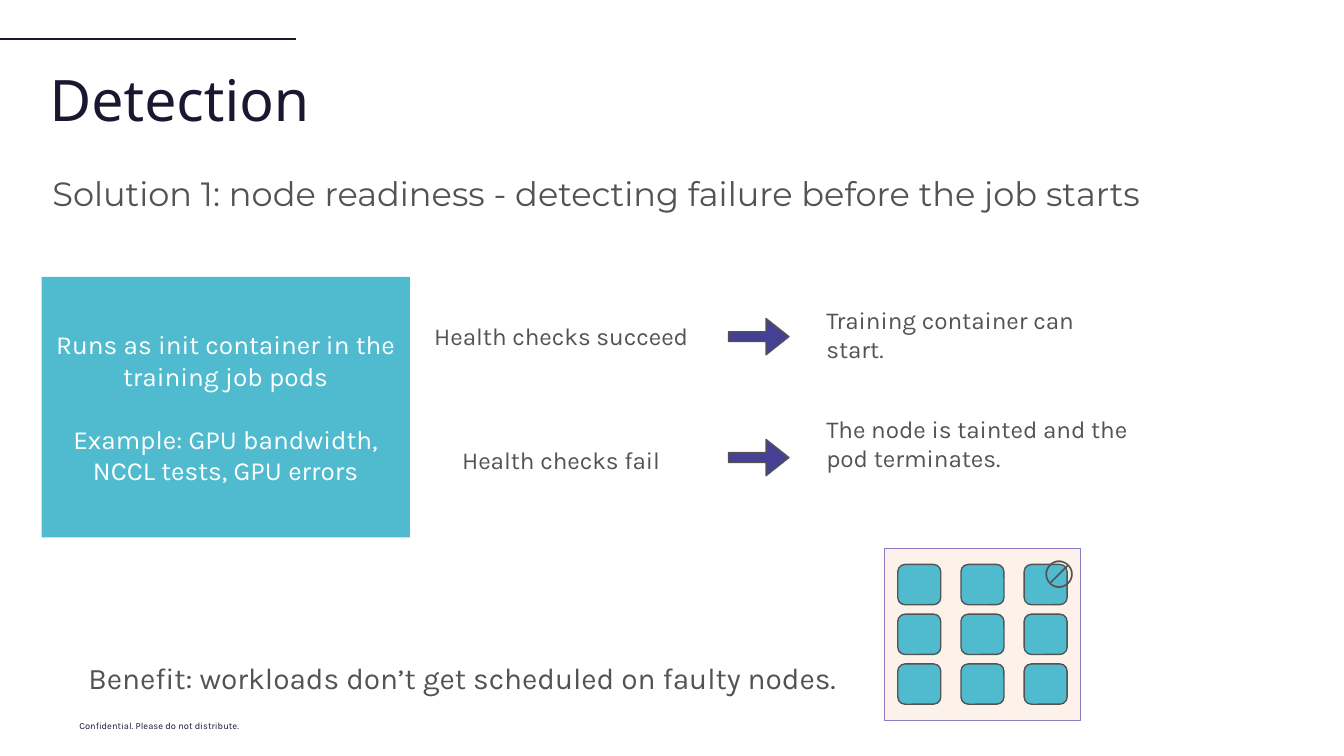
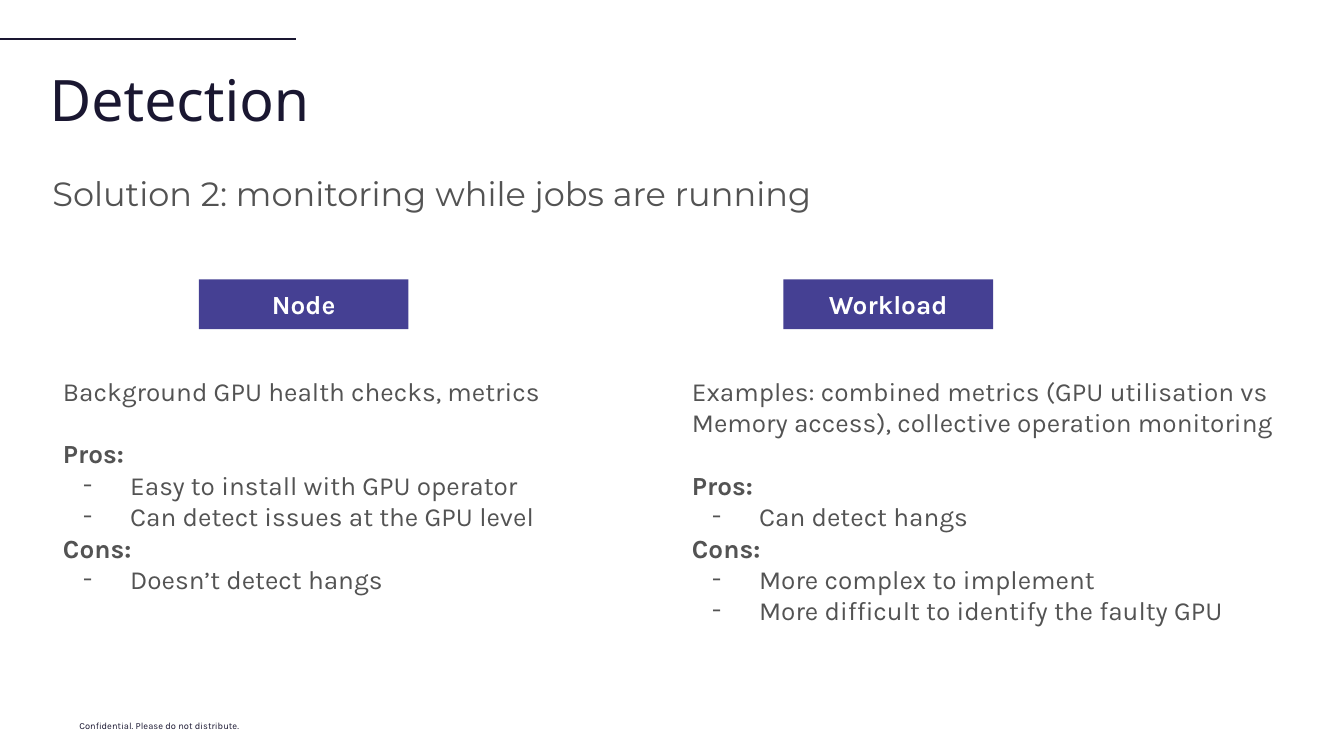
from dataclasses import dataclass
from itertools import product

from lxml import etree
from pptx import Presentation
from pptx.dml.color import RGBColor
from pptx.enum.shapes import MSO_CONNECTOR as Conn, MSO_SHAPE as Geo
from pptx.enum.text import MSO_ANCHOR as Anchor, MSO_AUTO_SIZE as Fit, PP_ALIGN as Align
from pptx.oxml.ns import qn
from pptx.util import Inches, Pt

COLORS = {
    "ink": "1A1731",
    "grey": "535353",
    "teal": "50BBCF",
    "indigo": "454093",
    "cream": "FDF2EA",
    "violet": "8E7CC3",
    "white": "FFFFFF",
}


@dataclass
class Box:
    left: float
    top: float
    width: float
    height: float


@dataclass
class Style:
    size: float
    color: str = "grey"
    font: str = "Karla"
    bold: bool = False


@dataclass
class Para:
    text: str
    bold: bool = False
    bullet: bool = False
    fmt: dict | None = None


@dataclass
class Check:
    label: str
    label_top: float
    arrow_top: float
    outcome: str
    outcome_box: Box


@dataclass
class Option:
    name: str
    tag_left: float
    body: Box
    summary: str
    pros: list[str]
    cons: list[str]


TITLE = Style(30.6, "ink", "Noto Sans")
SUBTITLE = Style(18, font="Montserrat")
BODY = Style(14)
ON_FILL = Style(14, "white")
TAG = Style(14, "white", bold=True)
LABEL = Style(13)
BENEFIT = Style(16)
FOOTER = Style(5, "ink")
SIGN = Style(18, font="Arial")

CENTER = {"alignment": Align.CENTER}
BLANK_LINE = {"space_before": Pt(16.8)}

CHECKS = [
    Check("Health checks succeed", 2.29, 2.37,
          "Training container can start.", Box(6.05, 2.17, 2.21, 0.64)),
    Check("Health checks fail", 3.21, 3.27,
          "The node is tainted and the pod terminates.", Box(6.05, 2.98, 2.69, 0.64)),
]

OPTIONS = [
    Option("Node", 1.48, Box(0.37, 2.69, 4.49, 1.85),
           "Background GPU health checks, metrics",
           ["Easy to install with GPU operator", "Can detect issues at the GPU level"],
           ["Doesn’t detect hangs"]),
    Option("Workload", 5.83, Box(5.05, 2.69, 4.64, 2.09),
           "Examples: combined metrics (GPU utilisation vs Memory access), "
           "collective operation monitoring",
           ["Can detect hangs"],
           ["More complex to implement", "More difficult to identify the faulty GPU"]),
]


def rgb(name: str) -> RGBColor:
    return RGBColor.from_string(COLORS[name])


def place(box: Box) -> tuple:
    return tuple(Inches(v) for v in (box.left, box.top, box.width, box.height))


def set_all(target, values: dict) -> None:
    for name, value in values.items():
        setattr(target, name, value)


def add_dash(p) -> None:
    """Give a paragraph a hanging dash."""
    pPr = p._p.get_or_add_pPr()
    pPr.set("marL", str(Inches(0.5)))
    pPr.set("indent", str(-Inches(0.35)))
    color = etree.SubElement(pPr, qn("a:buClr"))
    etree.SubElement(color, qn("a:srgbClr"), val=COLORS["grey"])
    etree.SubElement(pPr, qn("a:buFont"), typeface="Karla")
    etree.SubElement(pPr, qn("a:buChar"), char="-")


def write(sp, paras: list[Para], style: Style, anchor=Anchor.TOP,
          inset: float = 0.1, fmt: dict | None = None) -> None:
    """Fill a shape, text box or placeholder with formatted paragraphs."""
    tf = sp.text_frame
    margin = Inches(0.1)
    set_all(tf, {"word_wrap": True, "auto_size": Fit.NONE, "vertical_anchor": anchor,
                 "margin_left": Inches(inset), "margin_right": margin,
                 "margin_top": margin, "margin_bottom": margin})
    for i, para in enumerate(paras):
        p = tf.add_paragraph() if i else tf.paragraphs[0]
        set_all(p, {"alignment": Align.LEFT, **(fmt or {}), **(para.fmt or {})})
        if para.bullet:
            add_dash(p)
        r = p.add_run()
        r.text = para.text
        set_all(r.font, {"size": Pt(style.size), "name": style.font,
                         "bold": style.bold or para.bold})
        r.font.color.rgb = rgb(style.color)


def add_text(s, box: Box, text: str, style: Style, **options) -> None:
    write(s.shapes.add_textbox(*place(box)), [Para(text)], style, **options)


def add_shape(s, geo, box: Box, fill: str, line: str | None = None,
              adjust: tuple = ()):
    sp = s.shapes.add_shape(geo, *place(box))
    sp.shadow.inherit = False
    for i, value in enumerate(adjust):
        sp.adjustments[i] = value
    sp.fill.solid()
    sp.fill.fore_color.rgb = rgb(fill)
    if line:
        sp.line.color.rgb = rgb(line)
        sp.line.width = Pt(0.75)
    else:
        sp.line.fill.background()
    return sp


def add_slide(prs, subtitle: str):
    """Start a slide with the shared rule, footer, title and subtitle."""
    s = prs.slides.add_slide(prs.slide_layouts[5])
    rule = s.shapes.add_connector(Conn.STRAIGHT, Inches(-0.01), Inches(0.29),
                                  Inches(2.2), Inches(0.29))
    rule.line.color.rgb = rgb("ink")
    rule.line.width = Pt(0.75)
    etree.SubElement(rule._element.spPr, qn("a:effectLst"))
    add_text(s, Box(0.59, 5.25, 2.69, 0.38), "Confidential. Please do not distribute.",
             FOOTER, inset=0, fmt={"line_spacing": 1.15})

    title = s.shapes.title
    title.left, title.top, title.width, title.height = place(Box(0.37, 0.38, 9.26, 0.63))
    write(title, [Para("Detection")], TITLE, inset=0)
    add_text(s, Box(0.39, 1.17, 8.43, 0.49), subtitle, SUBTITLE, anchor=Anchor.MIDDLE,
             inset=0, fmt={"line_spacing": 1.15, "space_after": Pt(12)})
    return s


def add_cluster(s) -> None:
    """Draw the 3 x 3 grid of nodes, the last one in the top row blocked."""
    add_shape(s, Geo.RECTANGLE, Box(6.58, 4.08, 1.46, 1.28), "cream", "violet")
    for col, row in product(range(3), repeat=2):
        node = Box(6.68 + 0.47 * col, 4.2 + 0.37 * row, 0.32, 0.3)
        add_shape(s, Geo.ROUNDED_RECTANGLE, node, "teal", "grey", (0.18,))
    add_text(s, Box(7.67, 4, 0.44, 0.5), "🚫", SIGN)


def build_readiness(prs) -> None:
    s = add_slide(prs, "Solution 1: node readiness - detecting failure before the job starts")

    # What runs
    card = add_shape(s, Geo.RECTANGLE, Box(0.31, 2.06, 2.74, 1.94), "teal")
    write(card, [Para("Runs as init container in the training job pods"),
                 Para("Example: GPU bandwidth, NCCL tests, GPU errors", fmt=BLANK_LINE)],
          ON_FILL, anchor=Anchor.MIDDLE, fmt=CENTER)

    # Checks and their outcomes
    for check in CHECKS:
        add_text(s, Box(3.11, check.label_top, 2.13, 0.42), check.label, LABEL, fmt=CENTER)
        add_shape(s, Geo.RIGHT_ARROW, Box(5.42, check.arrow_top, 0.45, 0.27),
                  "indigo", "grey", (0.27, 0.63))
        add_text(s, check.outcome_box, check.outcome, LABEL, fmt={"space_after": Pt(10)})

    # Benefit
    add_cluster(s)
    add_text(s, Box(0.56, 4.81, 6.27, 0.47),
             "Benefit: workloads don’t get scheduled on faulty nodes.", BENEFIT)


def build_monitoring(prs) -> None:
    s = add_slide(prs, "Solution 2: monitoring while jobs are running")
    for option in OPTIONS:
        tag = add_shape(s, Geo.RECTANGLE, Box(option.tag_left, 2.08, 1.56, 0.37), "indigo")
        write(tag, [Para(option.name)], TAG, anchor=Anchor.MIDDLE, fmt=CENTER)
        paras = [Para(option.summary),
                 Para("Pros:", bold=True, fmt=BLANK_LINE),
                 *(Para(text, bullet=True) for text in option.pros),
                 Para("Cons:", bold=True),
                 *(Para(text, bullet=True) for text in option.cons)]
        write(s.shapes.add_textbox(*place(option.body)), paras, BODY)


def main() -> None:
    prs = Presentation()
    # 16:9 page, 10 inches wide
    prs.slide_width = Inches(10)
    prs.slide_height = prs.slide_width * 9 // 16
    build_readiness(prs)
    build_monitoring(prs)
    prs.save("out.pptx")


if __name__ == "__main__":
    main()
